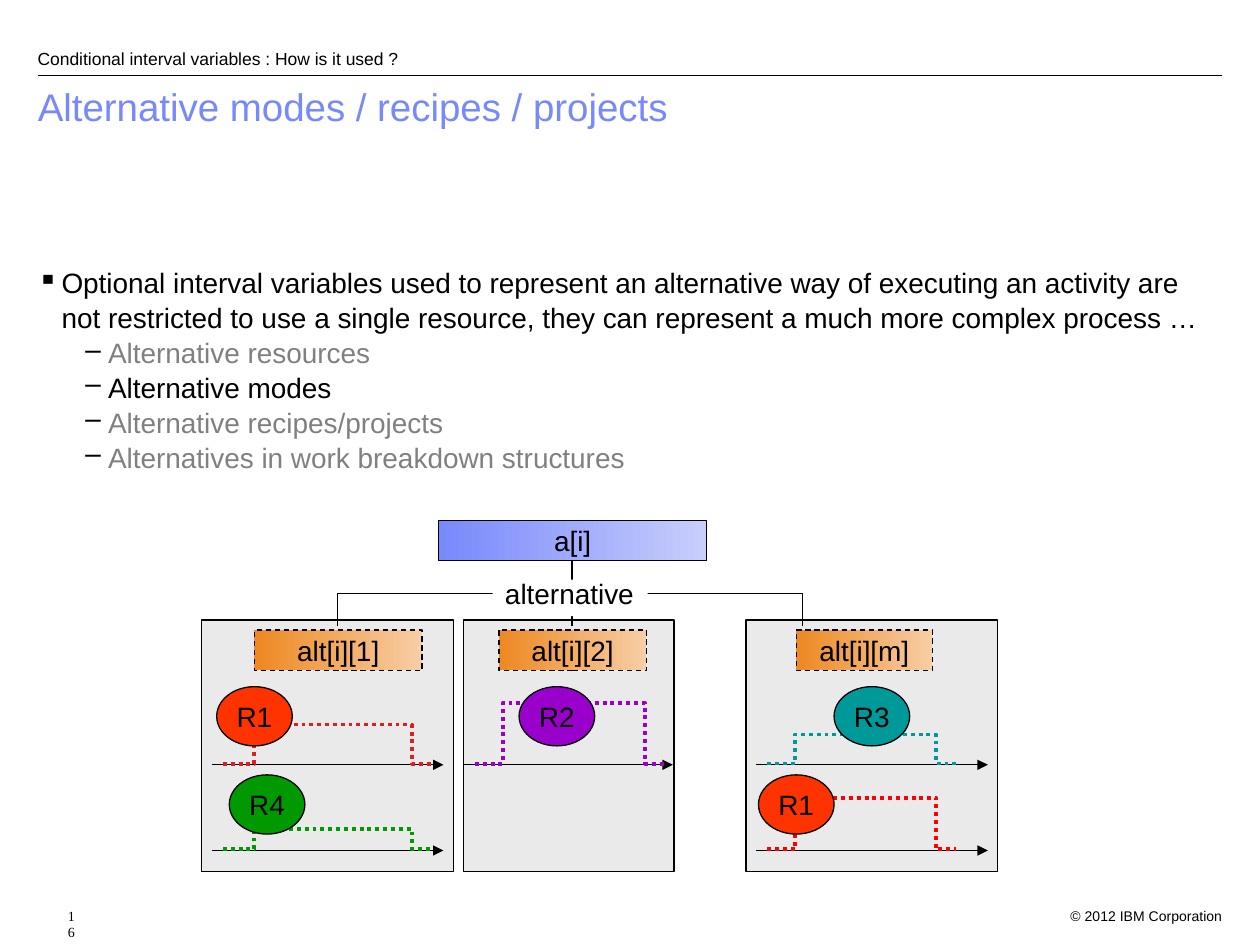
from dataclasses import dataclass

from lxml.etree import SubElement
from pptx import Presentation
from pptx.dml.color import RGBColor
from pptx.enum.dml import MSO_LINE
from pptx.enum.shapes import MSO_CONNECTOR, MSO_SHAPE
from pptx.enum.text import MSO_ANCHOR, PP_ALIGN
from pptx.oxml.ns import qn
from pptx.util import Inches, Pt

BLACK, GREY, BLUE = "000000", "808080", "7889FB"
ORANGE_FADE = ("F7CEA5", "EE8822")
BLUE_FADE = ("C8CEFC", BLUE)
BOX_HEIGHT = 0.32
PANEL_TOP, PANEL_HEIGHT = 4.92, 2
UPPER_AXIS, LOWER_AXIS = 6.07, 6.75
JOIN_X, JOIN_TOP, JOIN_BOTTOM = 4.54, 4.45, 4.97


@dataclass
class Mode:
    """One alternative: a grey panel with a dashed interval box on top."""
    label: str
    panel_left: float
    panel_width: float
    box_left: float
    box_width: float
    join_x: float


@dataclass
class Usage:
    """Use of one resource over time, drawn above a time axis."""
    resource: str
    color: str
    line_color: str
    axis_left: float
    axis_right: float
    axis_y: float
    steps: tuple[float, float, float, float]
    level: float
    oval_left: float
    oval_top: float


MODES = [
    Mode("alt[i][1]", 1.6, 2, 2.02, 1.33, 2.68),
    Mode("alt[i][2]", 3.68, 1.67, 3.96, 1.17, JOIN_X),
    Mode("alt[i][m]", 5.92, 2, 6.32, 1.08, 6.37),
]
LEFT_STEPS = (1.77, 2.02, 3.27, 3.43)
MIDDLE_STEPS = (3.77, 3.99, 5.12, 5.27)
RIGHT_STEPS = (6.09, 6.31, 7.43, 7.59)
USAGES = [
    Usage("R1", "FF3300", "E01E1E", 1.68, 3.52, UPPER_AXIS, LEFT_STEPS, 5.75, 1.72, 5.45),
    Usage("R4", "009900", "009900", 1.68, 3.52, LOWER_AXIS, LEFT_STEPS, 6.58, 1.82, 6.15),
    Usage("R3", "009999", "009999", 6, 7.84, UPPER_AXIS, RIGHT_STEPS, 5.83, 6.62, 5.45),
    Usage("R1", "FF3300", "FF0000", 6, 7.84, LOWER_AXIS, RIGHT_STEPS, 6.33, 6.02, 6.15),
    Usage("R2", "9900CC", "9900CC", 3.68, 5.34, UPPER_AXIS, MIDDLE_STEPS, 5.58, 4.12, 5.45),
]
BULLETS = [
    ("Optional interval variables used to represent an alternative way of executing an "
     "activity are not restricted to use a single resource, they can represent a much "
     "more complex process …", 0, BLACK),
    ("Alternative resources", 1, GREY),
    ("Alternative modes", 1, BLACK),
    ("Alternative recipes/projects", 1, GREY),
    ("Alternatives in work breakdown structures", 1, GREY),
]
# Bullet character, left margin and hanging indent of each level
BULLET_LEVELS = [("▪", 0.19, -0.19), ("–", 0.56, -0.18)]


def rgb(color: str) -> RGBColor:
    return RGBColor.from_string(color)


def format_font(paragraph, size: float, color: str = BLACK, name: str = "Arial") -> None:
    paragraph.font.name = name
    paragraph.font.size = Pt(size)
    paragraph.font.color.rgb = rgb(color)


def set_outline(line, color: str = BLACK, width: float = 0.75, dash=None) -> None:
    line.color.rgb = rgb(color)
    line.width = Pt(width)
    if dash is not None:
        line.dash_style = dash


def add_text(slide, text: str, left, top, width, height, size, name="Arial"):
    shape = slide.shapes.add_textbox(Inches(left), Inches(top), Inches(width), Inches(height))
    shape.text_frame.word_wrap = True
    paragraph = shape.text_frame.paragraphs[0]
    paragraph.text = text
    format_font(paragraph, size, name=name)
    return shape


def add_box(slide, kind, left, top, width, height, fill, text="", dash=None, outlined=True):
    """Add a shape; a pair of colours as fill makes a horizontal gradient."""
    shape = slide.shapes.add_shape(kind, Inches(left), Inches(top), Inches(width), Inches(height))
    shape.shadow.inherit = False
    if isinstance(fill, tuple):
        shape.fill.gradient()
        shape.fill.gradient_angle = 180
        for stop, color in zip(shape.fill.gradient_stops, fill):
            stop.color.rgb = rgb(color)
    else:
        shape.fill.solid()
        shape.fill.fore_color.rgb = rgb(fill)
    if outlined:
        set_outline(shape.line, dash=dash)
    else:
        shape.line.fill.background()
    if text:
        frame = shape.text_frame
        frame.word_wrap = False
        frame.vertical_anchor = MSO_ANCHOR.MIDDLE
        paragraph = frame.paragraphs[0]
        paragraph.text = text
        paragraph.alignment = PP_ALIGN.CENTER
        format_font(paragraph, 16)
    return shape


def add_line(slide, kind, x1, y1, x2, y2, arrow=False):
    connector = slide.shapes.add_connector(kind, Inches(x1), Inches(y1), Inches(x2), Inches(y2))
    set_outline(connector.line)
    properties = connector._element.spPr
    if arrow:
        SubElement(properties.find(qn("a:ln")), qn("a:tailEnd"), type="triangle")
    SubElement(properties, qn("a:effectLst"))
    return connector


def add_branch(slide, child_x: float) -> None:
    """Join the parent to a child with an elbow turned to leave downwards."""
    drop, shift = JOIN_BOTTOM - JOIN_TOP, child_x - JOIN_X
    center_x, center_y = JOIN_X + shift / 2, JOIN_TOP + drop / 2
    connector = add_line(slide, MSO_CONNECTOR.ELBOW, center_x - drop / 2, center_y + shift / 2,
                         center_x + drop / 2, center_y - shift / 2)
    connector._element.spPr.find(qn("a:xfrm")).set("rot", "5400000")


def add_usage(slide, usage: Usage) -> None:
    add_line(slide, MSO_CONNECTOR.STRAIGHT, usage.axis_left, usage.axis_y,
             usage.axis_right, usage.axis_y, arrow=True)
    start, rise, fall, end = usage.steps
    base = usage.axis_y - 0.01
    points = [(rise, base), (rise, usage.level), (fall, usage.level), (fall, base), (end, base)]
    builder = slide.shapes.build_freeform(Inches(start), Inches(base))
    builder.add_line_segments([(Inches(x), Inches(y)) for x, y in points], close=False)
    profile = builder.convert_to_shape()
    profile.shadow.inherit = False
    profile.fill.background()
    set_outline(profile.line, usage.line_color, 2.25, MSO_LINE.ROUND_DOT)


def add_bullets(slide) -> None:
    frame = slide.shapes.add_textbox(Inches(0.2), Inches(2.05), Inches(9.5), Inches(2)).text_frame
    frame.word_wrap = True
    for index, (text, level, color) in enumerate(BULLETS):
        paragraph = frame.add_paragraph() if index else frame.paragraphs[0]
        paragraph.text = text
        paragraph.level = level
        paragraph.line_spacing = 1.04
        character, margin, indent = BULLET_LEVELS[level]
        properties = paragraph._p.get_or_add_pPr()
        properties.set("marL", str(Inches(margin)))
        properties.set("indent", str(Inches(indent)))
        bullet_color = SubElement(properties, qn("a:buClr"))
        SubElement(bullet_color, qn("a:srgbClr"), val=BLACK)
        SubElement(properties, qn("a:buChar"), char=character)
        format_font(paragraph, 16, color)


def add_header_and_footer(slide) -> None:
    add_line(slide, MSO_CONNECTOR.STRAIGHT, 0.3, 0.6, 9.7, 0.6)
    title = slide.shapes.title
    title.left, title.top, title.width, title.height = map(Inches, (0.2, 0.65, 9.5, 0.7))
    title.text_frame.text = "Alternative modes / recipes / projects"
    title.text_frame.vertical_anchor = MSO_ANCHOR.TOP
    paragraph = title.text_frame.paragraphs[0]
    paragraph.alignment = PP_ALIGN.LEFT
    paragraph.line_spacing = 0.9
    format_font(paragraph, 22, BLUE)

    section = add_text(slide, "Conditional interval variables : How is it used ?",
                       0.2, 0.15, 8.5, 0.4, 10)
    section.text_frame.vertical_anchor = MSO_ANCHOR.BOTTOM
    section.text_frame.margin_top = section.text_frame.margin_bottom = 0
    notice = add_text(slide, "© 2012 IBM Corporation", 8.3, 7.15, 1.5, 0.2, 8)
    notice.text_frame.paragraphs[0].alignment = PP_ALIGN.RIGHT
    number = add_text(slide, "16", 0.2, 7.15, 0.4, 0.2, 8, "Times New Roman")
    number.text_frame.paragraphs[0]._p.get_or_add_pPr().set("marL", str(Inches(0.24)))


def add_diagram(slide) -> None:
    for mode in MODES:
        add_box(slide, MSO_SHAPE.RECTANGLE, mode.panel_left, PANEL_TOP,
                mode.panel_width, PANEL_HEIGHT, "EAEAEA")
        add_box(slide, MSO_SHAPE.RECTANGLE, mode.box_left, 5, mode.box_width, BOX_HEIGHT,
                ORANGE_FADE, mode.label, MSO_LINE.DASH)
    for usage in USAGES:
        add_usage(slide, usage)
    add_box(slide, MSO_SHAPE.RECTANGLE, 3.48, 4.13, 2.13, BOX_HEIGHT, BLUE_FADE, "a[i]")
    for mode in MODES:
        add_branch(slide, mode.join_x)
    label = add_box(slide, MSO_SHAPE.RECTANGLE, 3.91, 4.6, 1.23, 0.29, "FFFFFF",
                    "alternative", outlined=False)
    label.text_frame.vertical_anchor = MSO_ANCHOR.TOP
    label.text_frame.paragraphs[0].alignment = PP_ALIGN.LEFT
    label.text_frame.paragraphs[0].line_spacing = 0.7
    for usage in USAGES:
        add_box(slide, MSO_SHAPE.OVAL, usage.oval_left, usage.oval_top, 0.6, 0.47,
                usage.color, usage.resource)


presentation = Presentation()
presentation.slide_width, presentation.slide_height = Inches(10), Inches(7.5)
slide = presentation.slides.add_slide(presentation.slide_layouts[5])
add_header_and_footer(slide)
add_bullets(slide)
add_diagram(slide)
presentation.save("out.pptx")
